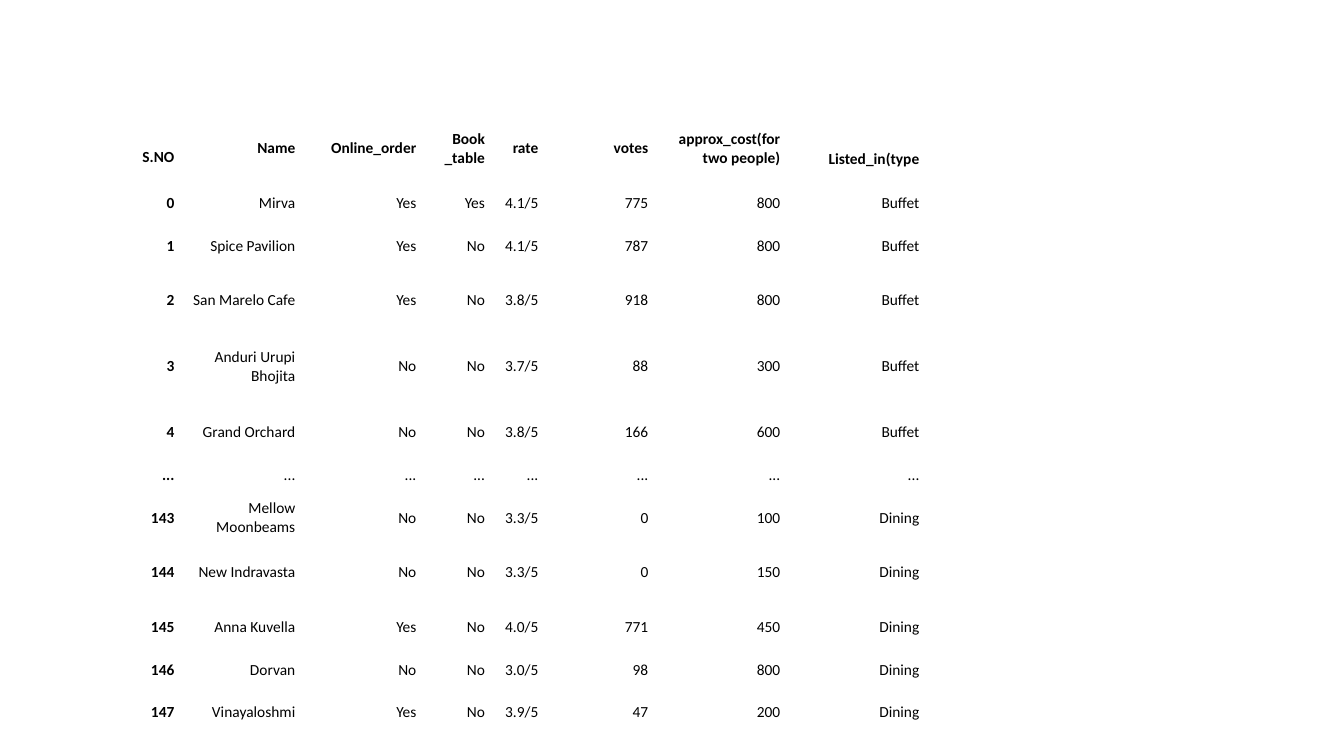
import pptx
import pptx.dml.color
import pptx.enum.text
import pptx.util

Pt = pptx.util.Pt

COLORS = {"text": "000000"}
LINE = 13.4  # height of one line of 11 pt text

HEADS = ["S.NO", "Name", "Online_order", "Book _table", "rate", "votes",
         "approx_cost(for two people)", "Listed_in(type"]
ROWS = [
    ["0", "Mirva", "Yes", "Yes", "4.1/5", "775", "800", "Buffet"],
    ["1", "Spice Pavilion", "Yes", "No", "4.1/5", "787", "800", "Buffet"],
    ["2", "San Marelo Cafe", "Yes", "No", "3.8/5", "918", "800", "Buffet"],
    ["3", "Anduri Urupi Bhojita", "No", "No", "3.7/5", "88", "300", "Buffet"],
    ["4", "Grand Orchard", "No", "No", "3.8/5", "166", "600", "Buffet"],
    ["..."] * len(HEADS),
    ["143", "Mellow Moonbeams", "No", "No", "3.3/5", "0", "100", "Dining"],
    ["144", "New Indravasta", "No", "No", "3.3/5", "0", "150", "Dining"],
    ["145", "Anna Kuvella", "Yes", "No", "4.0/5", "771", "450", "Dining"],
    ["146", "Dorvan", "No", "No", "3.0/5", "98", "800", "Dining"],
    ["147", "Vinayaloshmi", "Yes", "No", "3.9/5", "47", "200", "Dining"],
]
WIDTHS = [50.4, 86.4, 86.4, 49, 38.2, 78.5, 94.3, 99.4]
LOW, MID, TALL, HEAD = 22.3, 38.9, 55.4, 56.2
HEIGHTS = [HEAD, LOW, MID, MID, TALL, MID, LOW, MID, MID, MID, LOW, MID]


class Page:
    font = "Calibri"
    size = 11
    side, edge = 4.3, 2.2

    def __init__(self, slide):
        self.slide = slide

    def table(self, left, top, widths, heights, data):
        """Add a plain table whose first row and first column are bold."""
        frame = self.slide.shapes.add_table(
            len(heights), len(widths), Pt(left), Pt(top),
            Pt(sum(widths)), Pt(sum(heights)))
        grid = frame.table
        grid.first_row = grid.horz_banding = False
        for col, width in zip(grid.columns, widths):
            col.width = Pt(width)
        for row, height in zip(grid.rows, heights):
            row.height = Pt(height)
        for r, line in enumerate(data):
            for c, text in enumerate(line):
                self.cell(grid.cell(r, c), text, r == 0 or c == 0)
        return grid

    def cell(self, cell, text, bold):
        cell.fill.background()
        cell.margin_left = cell.margin_right = Pt(self.side)
        cell.margin_top = cell.margin_bottom = Pt(self.edge)
        cell.vertical_anchor = pptx.enum.text.MSO_ANCHOR.MIDDLE
        para = cell.text_frame.paragraphs[0]
        para.alignment = pptx.enum.text.PP_ALIGN.RIGHT
        run = para.add_run()
        run.text = text
        run.font.name = self.font
        run.font.size = Pt(self.size)
        run.font.bold = bold
        run.font.color.rgb = pptx.dml.color.RGBColor.from_string(COLORS["text"])

    def lower(self, cell, lines):
        """Push the text of a cell down by a number of lines."""
        cell.margin_top = Pt(self.edge + lines * LINE)


def main():
    deck = pptx.Presentation()
    deck.slide_width, deck.slide_height = Pt(960), Pt(540)
    page = Page(deck.slides.add_slide(deck.slide_layouts[6]))

    grid = page.table(78.5, 77.8, WIDTHS, HEIGHTS, [HEADS] + ROWS)
    page.lower(grid.cell(0, 0), 1)
    kind = grid.cell(0, len(HEADS) - 1)
    page.lower(kind, 2)
    kind.vertical_anchor = pptx.enum.text.MSO_ANCHOR.TOP

    deck.save("out.pptx")


if __name__ == "__main__":
    main()
